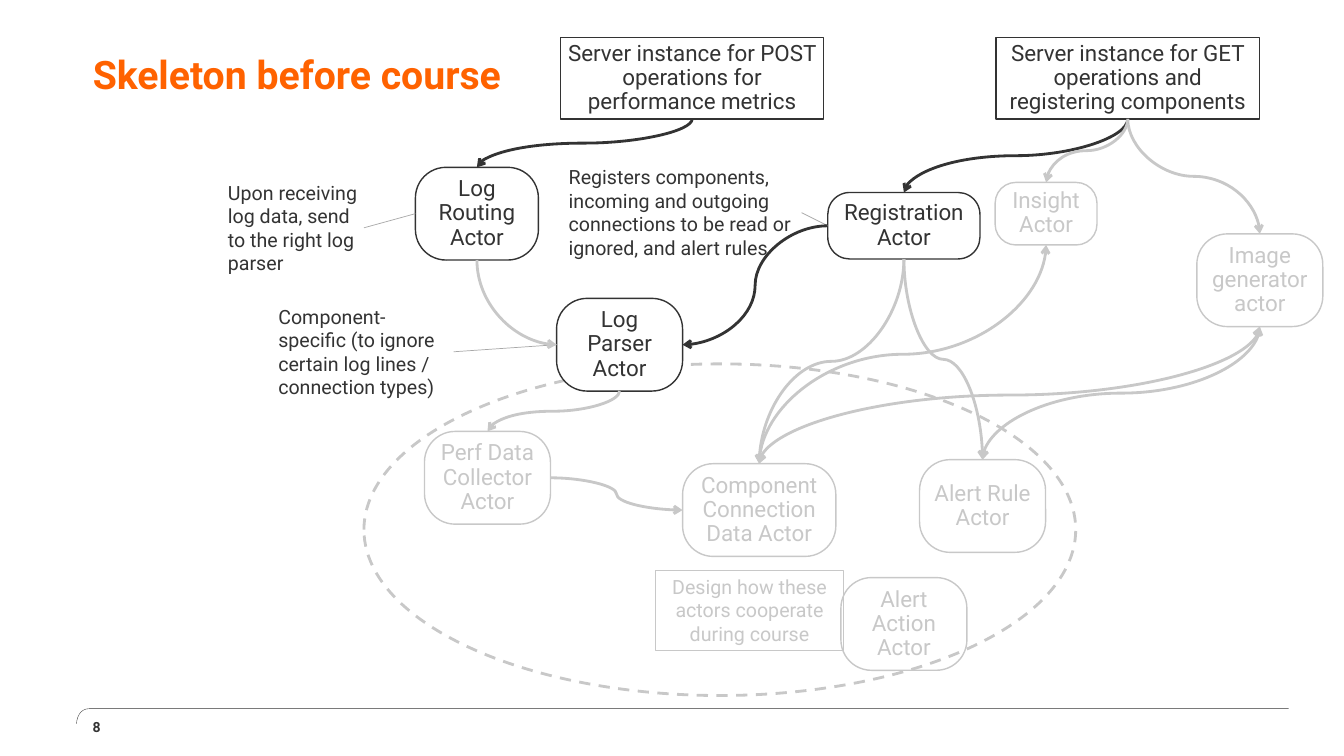
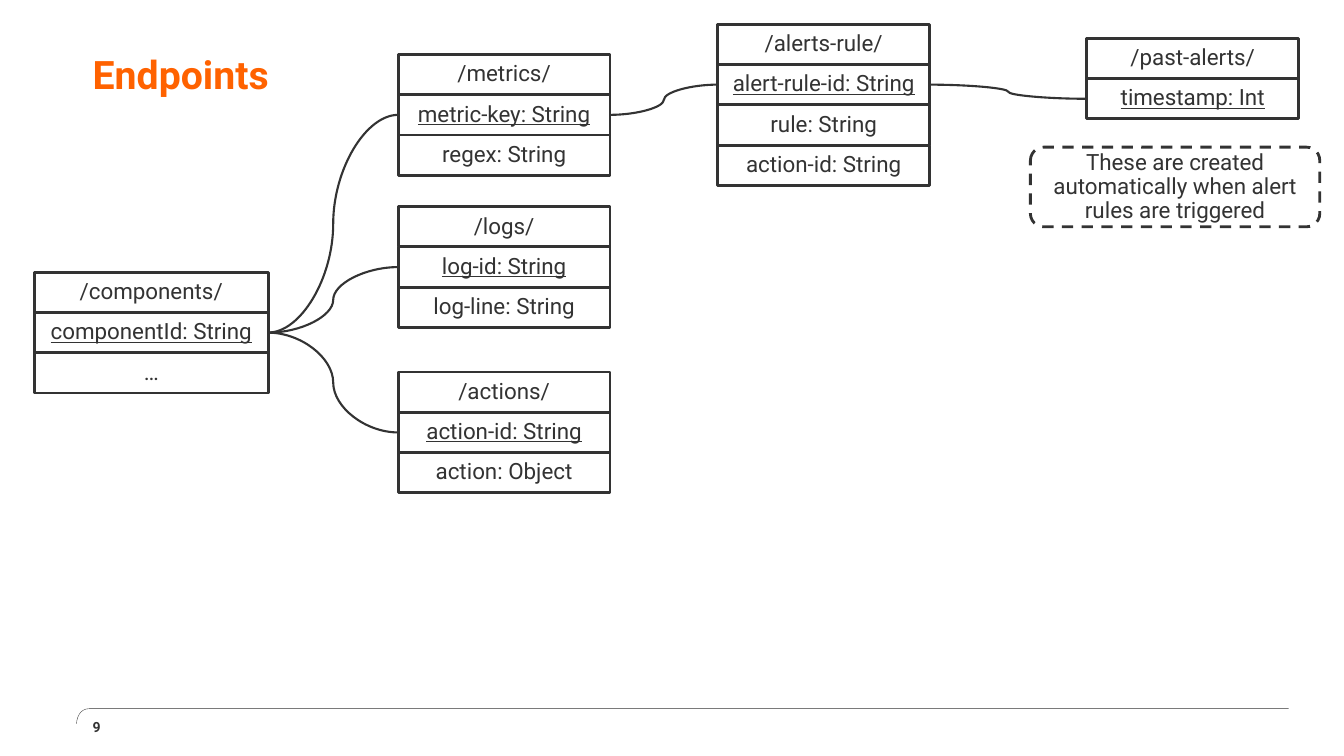
"""Builds two slides: an actor skeleton diagram and an endpoint diagram."""
import dataclasses

import lxml.etree
import pptx
import pptx.dml.color
import pptx.enum.dml
import pptx.enum.shapes
import pptx.enum.text
import pptx.oxml.ns
import pptx.util

Inches = pptx.util.Inches
SHAPE = pptx.enum.shapes.MSO_SHAPE
CONNECTOR = pptx.enum.shapes.MSO_CONNECTOR
ALIGN = pptx.enum.text.PP_ALIGN
ANCHOR = pptx.enum.text.MSO_ANCHOR
TOP, LEFT, BOTTOM, RIGHT = range(4)


@dataclasses.dataclass(frozen=True)
class Theme:
    """Colours, type sizes and line widths of the deck."""
    font: str = "Roboto"
    accent: str = "FF6200"
    dark: str = "333333"
    pale: str = "C8C8C8"
    leader: str = "A8A8A8"
    white: str = "FFFFFF"
    title_size: int = 28
    body_size: int = 16
    note_size: int = 14
    number_size: int = 10
    inset: float = 0.04
    row_height: float = 0.4


THEME = Theme()

ACTORS = {
    "image": ("Image generator actor", (11.87, 2.32, 1.25, 0.92), THEME.pale),
    "rule": ("Alert Rule Actor", (9.12, 4.56, 1.25, 0.92), THEME.pale),
    "collector": ("Perf Data Collector Actor", (4.21, 4.28, 1.25, 0.92), THEME.pale),
    "routing": ("Log Routing Actor", (4.12, 1.66, 1.22, 0.92), THEME.dark),
    "connection": ("Component Connection Data Actor", (6.77, 4.6, 1.52, 0.92), THEME.pale),
    "action": ("Alert Action Actor", (8.34, 5.73, 1.25, 0.92), THEME.pale),
    "registration": ("Registration\nActor", (8.21, 1.91, 1.51, 0.66), THEME.dark),
    "insight": ("Insight Actor", (9.87, 1.81, 1.01, 0.62), THEME.pale),
    "parser": ("Log Parser\nActor", (5.52, 2.96, 1.25, 0.92), THEME.dark),
}

SERVERS = {
    "get": ("Server instance for GET operations and registering components", 9.88),
    "post": ("Server instance for POST operations for performance metrics", 5.56),
}

NOTES = [
    ("Component-specific (to ignore certain log lines / connection types)",
     (2.72, 2.98, 1.78, 1.02), "parser"),
    ("Upon receiving log data, send to the right log parser",
     (2.22, 1.75, 1.39, 1.02), "routing"),
    ("Registers components, incoming and outgoing connections to be read or "
     "ignored, and alert rules", (5.6, 1.6, 2.35, 1.02), "registration"),
]

FLOWS = [
    ("routing", BOTTOM, "parser", LEFT, THEME.pale, False),
    ("parser", BOTTOM, "collector", TOP, THEME.pale, False),
    ("post", BOTTOM, "routing", TOP, THEME.dark, False),
    ("collector", RIGHT, "connection", LEFT, THEME.pale, False),
    ("registration", LEFT, "parser", RIGHT, THEME.dark, False),
    ("get", BOTTOM, "image", TOP, THEME.pale, False),
    ("image", BOTTOM, "connection", TOP, THEME.pale, True),
    ("image", BOTTOM, "rule", TOP, THEME.pale, True),
    ("registration", BOTTOM, "connection", TOP, THEME.pale, False),
    ("get", BOTTOM, "registration", TOP, THEME.dark, False),
    ("registration", BOTTOM, "rule", TOP, THEME.pale, False),
    ("get", BOTTOM, "insight", TOP, THEME.pale, False),
    ("insight", BOTTOM, "connection", TOP, THEME.pale, True),
]

ENDPOINTS = {
    "components": (0.34, 2.7, 2.32, ["/components/", "componentId: String", "…"]),
    "metrics": (3.95, 0.54, 2.1, ["/metrics/", "metric-key: String", "regex: String"]),
    "logs": (3.95, 2.05, 2.1, ["/logs/", "log-id: String", "log-line: String"]),
    "actions": (3.95, 3.69, 2.1, ["/actions/", "action-id: String", "action: Object"]),
    "rules": (7.12, 0.24, 2.1, ["/alerts-rule/", "alert-rule-id: String",
                                "rule: String", "action-id: String"]),
    "past": (10.78, 0.38, 2.1, ["/past-alerts/", "timestamp: Int"]),
}

RELATIONS = [("components", "metrics"), ("components", "logs"),
             ("components", "actions"), ("metrics", "rules"), ("rules", "past")]


def rgb(value):
    """Return a colour object for a hex value."""
    return pptx.dml.color.RGBColor.from_string(value)


def write_text(box, text, size, colour, align=ALIGN.LEFT, anchor=ANCHOR.TOP,
               spacing=1.0, inset=THEME.inset, bold=False, underline=False):
    """Fill a shape with text, one paragraph per line."""
    frame = box.text_frame
    frame.word_wrap = True
    frame.vertical_anchor = anchor
    frame.margin_left = frame.margin_right = Inches(inset)
    frame.margin_top = frame.margin_bottom = Inches(inset)
    for index, line in enumerate(text.split("\n")):
        para = frame.add_paragraph() if index else frame.paragraphs[0]
        para.alignment = align
        para.line_spacing = spacing
        span = para.add_run()
        span.text = line
        span.font.name = THEME.font
        span.font.size = pptx.util.Pt(size)
        span.font.bold = bold
        span.font.underline = underline
        span.font.color.rgb = rgb(colour)


def add_text(page, area, text, size, colour, **style):
    """Add a text box."""
    box = page.shapes.add_textbox(*map(Inches, area))
    write_text(box, text, size, colour, **style)
    return box


def style_outline(box, colour, width, dashed=False, fill=None):
    """Set the outline and fill of a shape and drop its shadow."""
    box.shadow.inherit = False
    if fill:
        box.fill.solid()
        box.fill.fore_color.rgb = rgb(fill)
    else:
        box.fill.background()
    box.line.color.rgb = rgb(colour)
    box.line.width = pptx.util.Pt(width)
    if dashed:
        box.line.dash_style = pptx.enum.dml.MSO_LINE.DASH


def add_outline(page, kind, area, colour, width, dashed=False, fill=None):
    """Add an outlined preset shape."""
    box = page.shapes.add_shape(kind, *map(Inches, area))
    style_outline(box, colour, width, dashed, fill)
    return box


def add_label_box(page, kind, area, text, colour, width=1, underline=False, **outline):
    """Add an outlined shape with centred body text."""
    box = add_outline(page, kind, area, colour, width, **outline)
    write_text(box, text, THEME.body_size, colour, ALIGN.CENTER, ANCHOR.MIDDLE,
               spacing=0.9, underline=underline)
    return box


def add_link(page, kind, start, start_side, end, end_side, colour, width, heads=()):
    """Glue a connector between two shapes and style its line."""
    link = page.shapes.add_connector(kind, 0, 0, 0, 0)
    link.begin_connect(start, start_side)
    link.end_connect(end, end_side)
    link.line.color.rgb = rgb(colour)
    link.line.width = pptx.util.Pt(width)
    qn = pptx.oxml.ns.qn
    properties = link.element.spPr
    for head in heads:
        lxml.etree.SubElement(properties.find(qn("a:ln")), qn(head), type="arrow")
    lxml.etree.SubElement(properties, qn("a:effectLst"))
    if kind == CONNECTOR.CURVE and start_side == BOTTOM:
        turn_downward(link)
        if end_side == LEFT:
            properties.find(qn("a:prstGeom")).set("prst", "curvedConnector2")
    return link


def turn_downward(link):
    """Rotate a curved connector so that it leaves its start vertically."""
    across = link.end_x - link.begin_x
    down = link.end_y - link.begin_y
    center_x = (link.begin_x + link.end_x) // 2
    center_y = (link.begin_y + link.end_y) // 2
    link.width, link.height = abs(down), abs(across)
    link.left = center_x - link.width // 2
    link.top = center_y - link.height // 2
    frame = link.element.spPr.xfrm
    frame.flipV = False
    frame.flipH = across > 0
    frame.rot = 270.0 if across > 0 else 90.0


def add_footer_rule(page):
    """Draw the footer rule with its curved left end."""
    right, bend, left, top, bottom = 12.78, 0.89, 0.76, 7.03, 7.18
    steps = [step / 10 for step in range(11)]
    curve = [(left + (bend - left) * (1 - t) ** 3,
              top + (bottom - top) * (3 * t ** 2 - 2 * t ** 3)) for t in steps]
    builder = page.shapes.build_freeform(Inches(right), Inches(top))
    builder.add_line_segments([(Inches(x), Inches(y)) for x, y in curve], close=False)
    style_outline(builder.convert_to_shape(), THEME.dark, 0.25)


def add_page(deck, title, title_width, number):
    """Add a slide with the shared title, footer rule and page number."""
    page = deck.slides.add_slide(deck.slide_layouts[6])
    add_footer_rule(page)
    add_text(page, (0.92, 0.31, title_width, 0.93), title, THEME.title_size,
             THEME.accent, anchor=ANCHOR.MIDDLE, inset=0, bold=True,
             spacing=pptx.util.Pt(THEME.title_size))
    add_text(page, (0.92, 7.11, 0.54, 0.21), str(number), THEME.number_size,
             THEME.dark, anchor=ANCHOR.MIDDLE, inset=0, bold=True)
    return page


def add_endpoint(page, left, top, width, rows):
    """Stack the rows of an endpoint and return its key row."""
    boxes = [
        add_label_box(page, SHAPE.RECTANGLE,
                      (left, top + index * THEME.row_height, width, THEME.row_height),
                      row, THEME.dark, 2, underline=index == 1)
        for index, row in enumerate(rows)
    ]
    return boxes[1]


def build_skeleton(deck):
    """Build the actor diagram."""
    page = add_page(deck, "Skeleton before course", 8.35, 8)
    add_outline(page, SHAPE.OVAL, (3.61, 3.61, 7.06, 3.29), THEME.pale, 2, dashed=True)
    task = add_outline(page, SHAPE.RECTANGLE, (6.5, 5.66, 1.87, 0.79), THEME.pale, 0.75)
    write_text(task, "Design how these actors cooperate during course",
               THEME.note_size, THEME.pale, ALIGN.CENTER)
    nodes = {}
    for name, (text, left) in SERVERS.items():
        nodes[name] = add_label_box(page, SHAPE.RECTANGLE, (left, 0.37, 2.61, 0.81),
                                    text, THEME.dark)
    for name, (text, area, colour) in ACTORS.items():
        fill = THEME.white if name == "parser" else None
        nodes[name] = add_label_box(page, SHAPE.ROUNDED_RECTANGLE, area, text, colour,
                                    fill=fill)
        nodes[name].adjustments[0] = 0.33
    for text, area, name in NOTES:
        note = add_text(page, area, text, THEME.note_size, THEME.dark)
        add_link(page, CONNECTOR.STRAIGHT, note, RIGHT, nodes[name], LEFT,
                 THEME.leader, 0.5)
    for start, start_side, end, end_side, colour, two_way in FLOWS:
        heads = ("a:headEnd", "a:tailEnd") if two_way else ("a:tailEnd",)
        add_link(page, CONNECTOR.CURVE, nodes[start], start_side, nodes[end], end_side,
                 colour, 2, heads)


def build_endpoints(deck):
    """Build the endpoint diagram."""
    page = add_page(deck, "Endpoints", 11.47, 9)
    keys = {name: add_endpoint(page, *entry) for name, entry in ENDPOINTS.items()}
    for start, end in RELATIONS:
        add_link(page, CONNECTOR.CURVE, keys[start], RIGHT, keys[end], LEFT,
                 THEME.dark, 1.5)
    add_label_box(page, SHAPE.ROUNDED_RECTANGLE, (10.22, 1.46, 2.87, 0.79),
                  "These are created automatically when alert rules are triggered",
                  THEME.dark, 2, dashed=True)


def main():
    """Build and save the deck."""
    deck = pptx.Presentation()
    deck.slide_width, deck.slide_height = Inches(13.33), Inches(7.5)
    build_skeleton(deck)
    build_endpoints(deck)
    deck.save("out.pptx")


if __name__ == "__main__":
    main()
